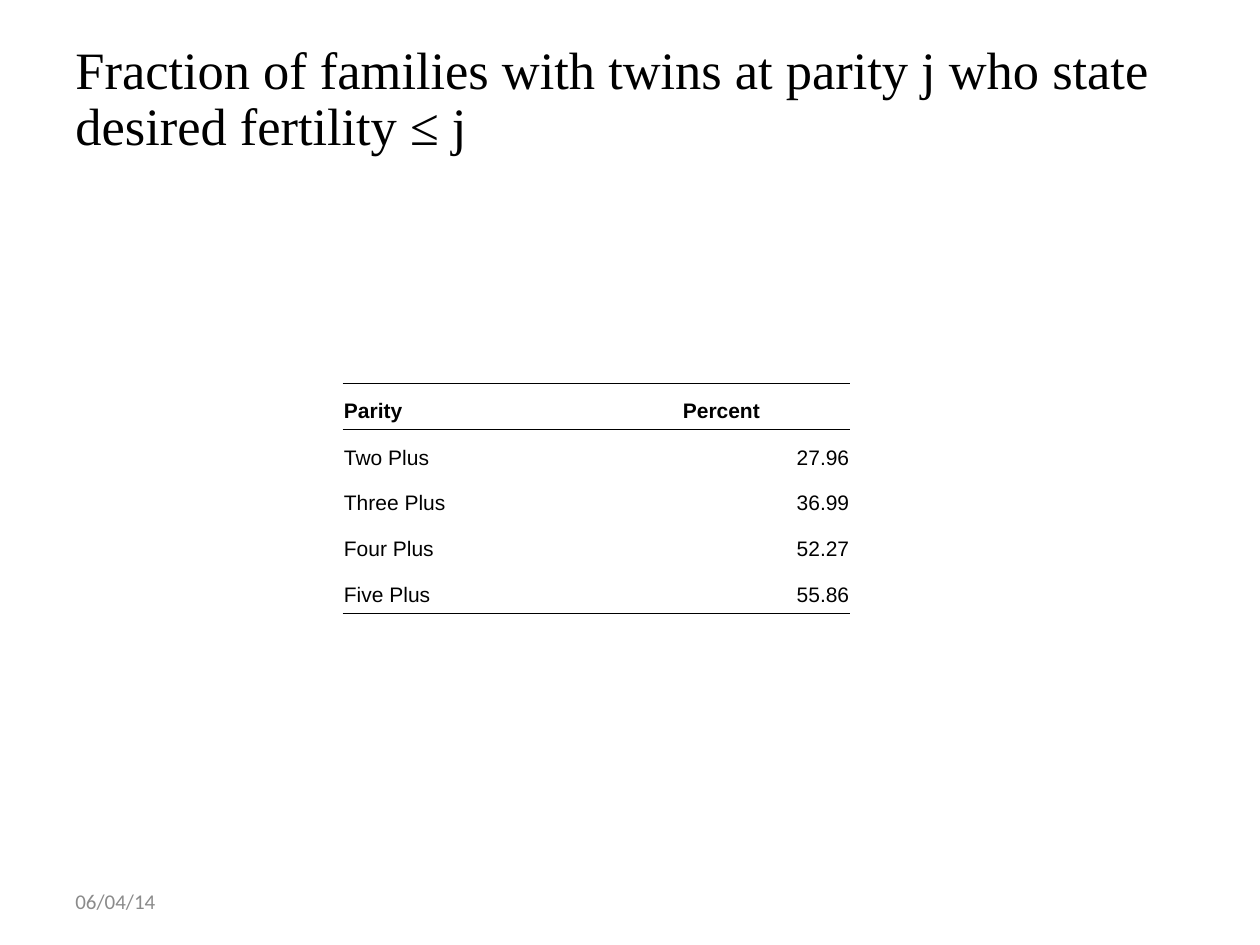
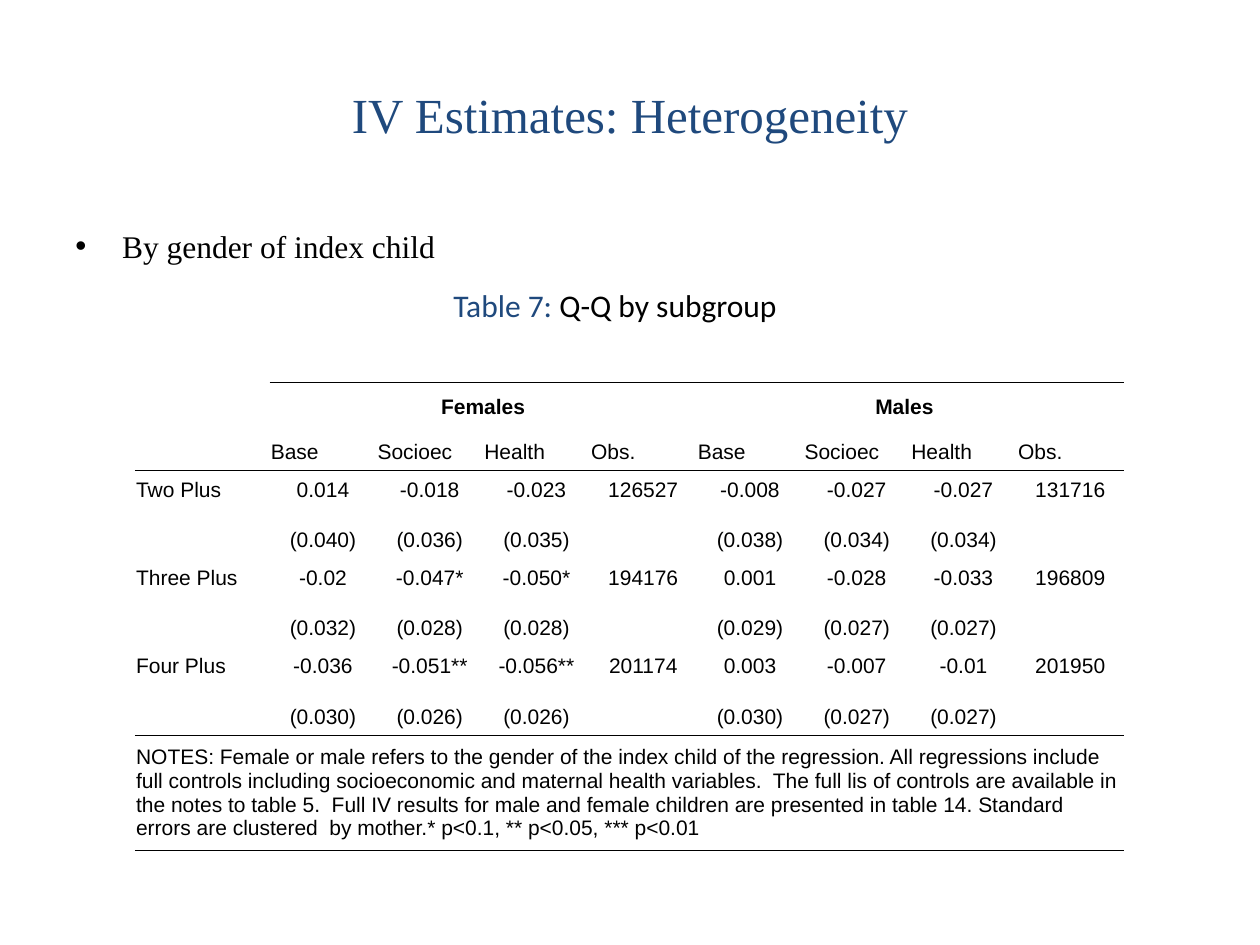
from lxml import etree
from pptx import Presentation
from pptx import util as u
from pptx.dml.color import RGBColor
from pptx.enum import text
from pptx.oxml import ns

BLACK, BLUE, GRAY = "000000", "1F497D", "8B8B8B"
SERIF, SANS, TABLE_FONT = "Times New Roman", "Calibri", "Arial"
NO_GRID_STYLE = "{2D5ABB26-0587-4C30-8999-92F81FD0307C}"
LEFT, CENTER, RIGHT = text.PP_ALIGN.LEFT, text.PP_ALIGN.CENTER, text.PP_ALIGN.RIGHT
TOP, MIDDLE, BOTTOM = text.MSO_ANCHOR.TOP, text.MSO_ANCHOR.MIDDLE, text.MSO_ANCHOR.BOTTOM
THIN, THICK = 0.23, 0.45

TWINS_TITLE = "Fraction of families with twins at parity j who state desired fertility ≤ j"
DATE = "06/04/14"
TWINS_ROWS = [
    ("Parity", "Percent"),
    ("Two Plus", "27.96"),
    ("Three Plus", "36.99"),
    ("Four Plus", "52.27"),
    ("Five Plus", "55.86"),
]

IV_TITLE = "IV Estimates: Heterogeneity"
IV_BULLET = "By gender of index child"
IV_CAPTION = [("Table 7:", BLUE), (" Q-Q by subgroup", BLACK)]
GENDERS = ["Females", "Males"]
MEASURES = ["Base", "Socioec", "Health", "Obs."]
ESTIMATES = [
    ("Two Plus", "0.014", "-0.018", "-0.023", "126527", "-0.008", "-0.027", "-0.027", "131716"),
    ("", "(0.040)", "(0.036)", "(0.035)", "", "(0.038)", "(0.034)", "(0.034)", ""),
    ("Three Plus", "-0.02", "-0.047*", "-0.050*", "194176", "0.001", "-0.028", "-0.033", "196809"),
    ("", "(0.032)", "(0.028)", "(0.028)", "", "(0.029)", "(0.027)", "(0.027)", ""),
    ("Four Plus", "-0.036", "-0.051**", "-0.056**", "201174", "0.003", "-0.007", "-0.01", "201950"),
    ("", "(0.030)", "(0.026)", "(0.026)", "", "(0.030)", "(0.027)", "(0.027)", ""),
]
NOTES = (
    "NOTES: Female or male refers to the gender of the index child of the regression. "
    "All regressions include full controls including socioeconomic and maternal health variables.  "
    "The full lis of controls are available in the notes to table 5.  "
    "Full IV results for male and female children are presented in table 14. "
    "Standard errors are clustered  by mother.* p<0.1, ** p<0.05, *** p<0.01"
)


def rgb(value):
    return RGBColor.from_string(value)


def style_span(span, font, size, color, bold=False):
    span.font.name = font
    span.font.size = u.Pt(size)
    span.font.color.rgb = rgb(color)
    span.font.bold = bold


def write_text(box, pieces, font, size, align=LEFT, anchor=MIDDLE):
    frame = box.text_frame
    frame.word_wrap = True
    frame.vertical_anchor = anchor
    para = frame.paragraphs[0]
    para.alignment = align
    for wording, color in pieces:
        span = para.add_run()
        span.text = wording
        style_span(span, font, size, color)
    return para


def add_text(page, area, *content, **layout):
    box = page.shapes.add_textbox(*map(u.Inches, area))
    return write_text(box, *content, **layout)


def add_caption(page, area, pieces):
    left, top, width, height = map(u.Inches, area)
    outline = page.shapes.build_freeform(left, top)
    outline.add_line_segments(
        [(left + width, top), (left + width, top + height), (left, top + height)], close=True)
    caption = outline.convert_to_shape()
    caption.shadow.inherit = False
    caption.fill.background()
    caption.line.fill.background()
    write_text(caption, pieces, SANS, 18, anchor=TOP)
    caption.text_frame.auto_size = text.MSO_AUTO_SIZE.SHAPE_TO_FIT_TEXT


def add_bullet(para, indent):
    properties = para._p.get_or_add_pPr()
    properties.set("marL", str(u.Inches(indent)))
    properties.set("indent", str(-u.Inches(indent)))
    etree.SubElement(properties, ns.qn("a:buFont"), typeface="Arial")
    etree.SubElement(properties, ns.qn("a:buChar"), char="•")


def add_plain_table(page, left, top, widths, heights):
    area = map(u.Inches, (left, top, sum(widths), sum(heights)))
    table = page.shapes.add_table(len(heights), len(widths), *area).table
    table.first_row = table.horz_banding = False
    table._tbl.tblPr.find(ns.qn("a:tableStyleId")).text = NO_GRID_STYLE
    for column, width in zip(table.columns, widths):
        column.width = u.Inches(width)
    for row, height in zip(table.rows, heights):
        row.height = u.Inches(height)
    return table


def draw_rules(table, rules):
    for row in range(len(table.rows)):
        for column in range(len(table.columns)):
            properties = table.cell(row, column)._tc.get_or_add_tcPr()
            for edge, line in (("a:lnT", row), ("a:lnB", row + 1)):
                first_column, weight = rules.get(line, (len(table.columns), 0))
                border = etree.SubElement(properties, ns.qn(edge))
                if column < first_column:
                    etree.SubElement(border, ns.qn("a:noFill"))
                    continue
                border.set("w", str(u.Pt(weight)))
                fill = etree.SubElement(border, ns.qn("a:solidFill"))
                etree.SubElement(fill, ns.qn("a:srgbClr"), val=BLACK)


def fill_cell(cell, wording, align=LEFT, anchor=BOTTOM, bold=False, empty_size=18):
    cell.fill.background()
    cell.margin_left = cell.margin_right = u.Inches(0.01)
    cell.margin_top = cell.margin_bottom = u.Inches(0.05)
    cell.vertical_anchor = anchor
    cell.text_frame.text = wording
    para = cell.text_frame.paragraphs[0]
    para.alignment = align
    for span in para.runs:
        style_span(span, TABLE_FONT, 12, BLACK, bold)
    if not wording:
        etree.SubElement(para._p, ns.qn("a:endParaRPr"), sz=str(empty_size * 100))


def build_twins(page):
    title = add_text(page, (0.5, 0.26, 9, 1.08), [(TWINS_TITLE, BLACK)], SERIF, 30)
    title.line_spacing = 0.88
    add_text(page, (0.5, 6.95, 2.33, 0.4), [(DATE, GRAY)], SANS, 12)
    table = add_plain_table(page, 2.72, 3.04, [2.69, 1.34], [0.37, 0.37, 0.36, 0.36, 0.37])
    draw_rules(table, {0: (0, THIN), 1: (0, THIN), len(TWINS_ROWS): (0, THICK)})
    for row, values in enumerate(TWINS_ROWS):
        for column, value in enumerate(values):
            align = RIGHT if row and column else LEFT
            fill_cell(table.cell(row, column), value, align, bold=row == 0)


def build_estimates(page):
    add_text(page, (0.06, 0.28, 9.88, 1.25), [(IV_TITLE, BLUE)], SERIF, 28, align=CENTER)
    bullet = add_text(page, (0.5, 1.75, 9.15, 4.95), [(IV_BULLET, BLACK)], SERIF, 18, anchor=TOP)
    add_bullet(bullet, 0.37)
    add_caption(page, (3.5, 2.22, 3.66, 0.4), IV_CAPTION)

    group = len(MEASURES)
    value_columns = group * len(GENDERS)
    label_width, table_width = 1.07, 7.85
    widths = [label_width] + [(table_width - label_width) / value_columns] * value_columns
    heights = [0.22] + [0.21] * (1 + len(ESTIMATES)) + [0.92]
    notes_row = len(heights) - 1
    table = add_plain_table(page, 1.07, 3.03, widths, heights)
    draw_rules(table, {0: (1, THIN), 2: (0, THIN), notes_row: (0, THIN), notes_row + 1: (0, THICK)})

    fill_cell(table.cell(0, 0), "")
    for index, gender in enumerate(GENDERS):
        first = 1 + index * group
        heading = table.cell(0, first)
        heading.merge(table.cell(0, first + group - 1))
        fill_cell(heading, gender, CENTER, MIDDLE, bold=True)
    heading.margin_right = u.Inches(0.1)
    for column, label in enumerate([""] + MEASURES * len(GENDERS)):
        fill_cell(table.cell(1, column), label, empty_size=12)
    for row, values in enumerate(ESTIMATES, 2):
        for column, value in enumerate(values):
            fill_cell(table.cell(row, column), value, CENTER if column else LEFT)
    notes = table.cell(notes_row, 0)
    notes.merge(table.cell(notes_row, len(widths) - 1))
    fill_cell(notes, NOTES, anchor=MIDDLE)


def main():
    deck = Presentation()
    deck.slide_width, deck.slide_height = u.Inches(10), u.Inches(7.5)
    for build in (build_twins, build_estimates):
        build(deck.slides.add_slide(deck.slide_layouts[6]))
    deck.save("out.pptx")


if __name__ == "__main__":
    main()
